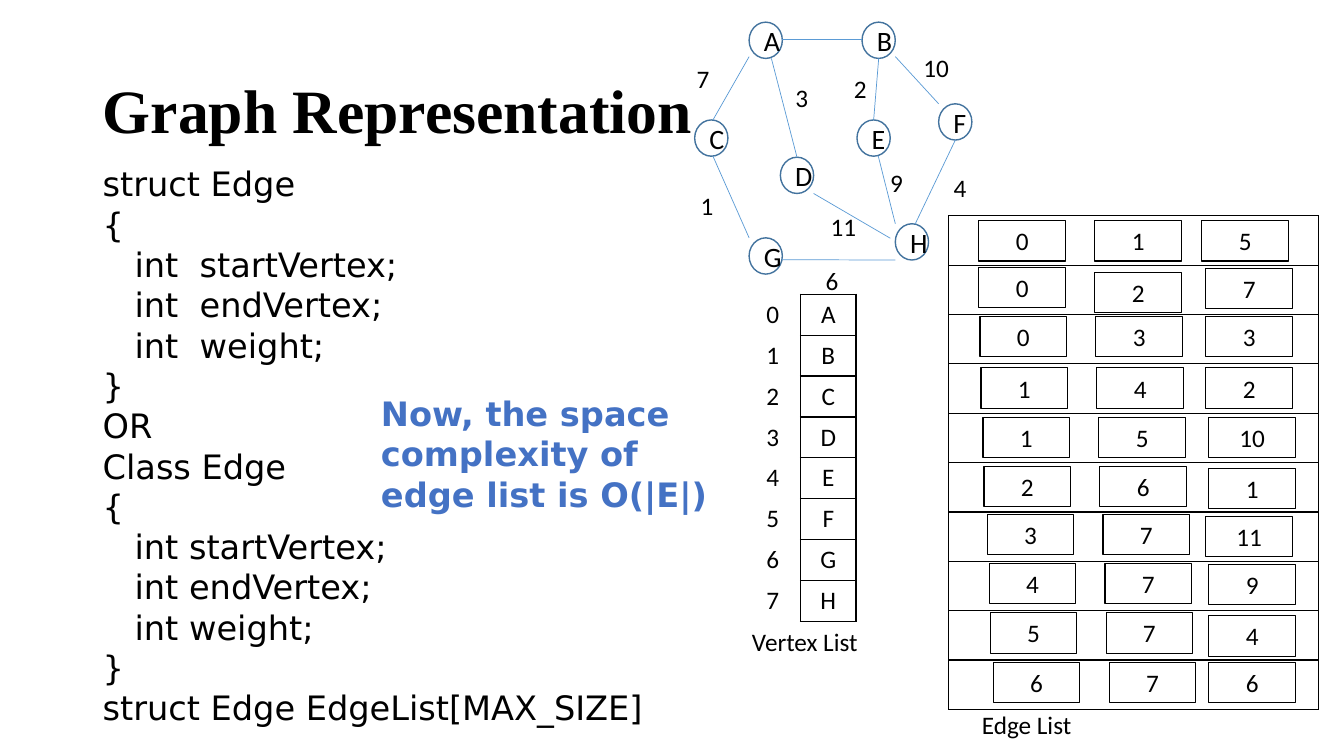
import lxml.etree
import pptx
import pptx.dml.color
import pptx.enum.shapes
import pptx.enum.text
import pptx.oxml.ns
import pptx.util

Inches, Pt = pptx.util.Inches, pptx.util.Pt
RGBColor = pptx.dml.color.RGBColor
Shape = pptx.enum.shapes.MSO_SHAPE
Align = pptx.enum.text.PP_ALIGN
Anchor = pptx.enum.text.MSO_ANCHOR
qn = pptx.oxml.ns.qn

BLACK = RGBColor(0x00, 0x00, 0x00)
ACCENT = RGBColor(0x44, 0x72, 0xC4)
NODE_LINE = RGBColor(0x43, 0x73, 0x9E)
EDGE_LINE = RGBColor(0x5B, 0x9B, 0xD5)
PLAIN_TABLE = "{2D5ABB26-0587-4C30-8999-92F81FD0307C}"

TITLE = "Graph Representation"
CODE = [
    "struct Edge",
    "{",
    "   int  startVertex;",
    "   int  endVertex;",
    "   int  weight;",
    "}",
    "OR",
    "Class Edge",
    "{",
    "   int startVertex;",
    "   int endVertex;",
    "   int weight;",
    "}",
    "struct Edge EdgeList[MAX_SIZE]",
]
REMARK = "Now, the space complexity of edge list is O(|E|)"
VERTICES = "ABCDEFGH"

# Start, end, weight; then nudges from the grid: right for start and end,
# right for weight, down for each of the three.
EDGE_LIST = [
    (("0", "1", "5"), 0, 0, (0, 0, 0)),
    (("0", "2", "7"), 0, 0.04, (-0.03, 0.02, -0.02)),
    (("0", "3", "3"), 0.01, 0.04, (-0.03, -0.03, -0.03)),
    (("1", "4", "2"), 0.02, 0.04, (-0.01, -0.01, -0.01)),
    (("1", "5", "10"), 0.04, 0.07, (-0.01, -0.01, -0.01)),
    (("2", "6", "1"), 0.05, 0.07, (-0.01, -0.01, 0.01)),
    (("3", "7", "11"), 0.08, 0.04, (-0.03, -0.03, -0.01)),
    (("4", "7", "9"), 0.1, 0.07, (-0.03, -0.03, -0.02)),
    (("5", "7", "4"), 0.11, 0.07, (-0.03, -0.03, 0)),
    (("6", "7", "6"), 0.14, 0.07, (-0.03, -0.03, -0.03)),
]
EDGE_TABLE = (9.41, 2.14, 3.67)
EDGE_ROW = 0.49
FIELD_LEFTS = (9.71, 10.86, 11.92)
FIELD_SIZE = (0.86, 0.4)
VERTEX_TABLE = (7.39, 2.92)
VERTEX_COLUMN, VERTEX_ROW = 0.55, 0.4

NODE_SIZE = (0.33, 0.36)
NODES = {
    "C": (6.89, 1.19), "D": (7.74, 1.56), "G": (7.43, 2.36), "E": (8.5, 1.19),
    "F": (9.31, 1.03), "H": (8.88, 2.22), "A": (7.43, 0.22), "B": (8.55, 0.22),
}
# Each end is a node and a share of its width and height.
GRAPH_EDGES = [
    (("A", 0, 0.95), ("C", 0.55, 0)),
    (("A", 1, 0.48), ("B", 0, 0.48)),
    (("B", 1, 0.95), ("F", 0, 0)),
    (("B", 0.5, 1), ("E", 0.5, 0)),
    (("A", 0.67, 1), ("D", 0.5, 0)),
    (("F", 0.5, 1), ("H", 0.6, 0)),
    (("H", 0, 0), ("E", 0.64, 1)),
    (("H", -0.15, 0.4), ("D", 1, 1)),
    (("H", 0, 1), ("G", 1, 0.6)),
    (("G", 0, 0), ("C", 0.55, 1)),
]
# Text, left, top, width
LABELS = [
    ("7", 6.81, 0.58, 0.52), ("1", 6.85, 1.84, 0.52), ("10", 9.06, 0.47, 0.52),
    ("3", 7.79, 0.77, 0.31), ("2", 8.37, 0.68, 0.52), ("6", 8.09, 2.58, 0.52),
    ("4", 9.36, 1.66, 0.52), ("9", 8.73, 1.61, 0.52), ("11", 8.14, 2.05, 0.52),
    ("Edge List", 9.64, 6.99, 1.38), ("Vertex List", 7.36, 6.16, 1.38),
]


def style(para, size, name="Calibri", color=BLACK, bold=False, align=Align.LEFT):
    para.alignment = align
    font = para.font
    font.size, font.name, font.bold = Pt(size), name, bold
    font.color.rgb = color


def add_text(page, lines, left, top, width, height=0.4, **look):
    box = page.shapes.add_textbox(*map(Inches, (left, top, width, height)))
    frame = box.text_frame
    frame.word_wrap = True
    frame.text = "\n".join(lines)
    for para in frame.paragraphs:
        style(para, **look)


def add_outline(page, preset, text, place, size, color, weight, points, anchor):
    shape = page.shapes.add_shape(preset, *map(Inches, place + size))
    shape.shadow.inherit = False
    shape.fill.background()
    shape.line.color.rgb = color
    shape.line.width = Pt(weight)
    shape.text_frame.text = text
    shape.text_frame.vertical_anchor = anchor
    style(shape.text_frame.paragraphs[0], points, align=Align.CENTER)


def add_plain_table(page, rows, columns, left, top, column_width, row_height):
    frame = page.shapes.add_table(
        rows, columns, Inches(left), Inches(top),
        Inches(column_width * columns), Inches(row_height * rows))
    table = frame.table
    table.first_row = table.horz_banding = False
    table._tbl.tblPr.find(qn("a:tableStyleId")).text = PLAIN_TABLE
    for column in table.columns:
        column.width = Inches(column_width)
    for row in table.rows:
        row.height = Inches(row_height)
    return table


def finish_cell(cell, sides):
    """Draw 1-point borders on the given sides and clear the fill."""
    properties = cell._tc.get_or_add_tcPr()
    for side in sides:
        border = lxml.etree.SubElement(properties, qn("a:ln" + side), w=str(Pt(1)))
        fill = lxml.etree.SubElement(border, qn("a:solidFill"))
        lxml.etree.SubElement(fill, qn("a:srgbClr"), val=str(BLACK))
    cell.fill.background()


def add_edge_list(page):
    left, top, width = EDGE_TABLE
    table = add_plain_table(page, len(EDGE_LIST), 1, left, top, width, EDGE_ROW)
    for index, (fields, right, weight_right, downs) in enumerate(EDGE_LIST):
        finish_cell(table.cell(index, 0), "LRTB")
        row_top = top + 0.05 + index * EDGE_ROW
        rights = (right, right, weight_right)
        for text, start, shift, down in zip(fields, FIELD_LEFTS, rights, downs):
            add_outline(page, Shape.RECTANGLE, text, (start + shift, row_top + down),
                        FIELD_SIZE, BLACK, 0.75, 18, Anchor.TOP)


def add_vertex_list(page):
    table = add_plain_table(page, len(VERTICES), 2, *VERTEX_TABLE,
                            VERTEX_COLUMN, VERTEX_ROW)
    for index, vertex in enumerate(VERTICES):
        for column, (text, sides) in enumerate(((str(index), "R"), (vertex, "LRTB"))):
            cell = table.cell(index, column)
            cell.text = text
            style(cell.text_frame.paragraphs[0], 18, align=Align.CENTER)
            finish_cell(cell, sides)


def node_point(name, across, down):
    left, top = NODES[name]
    return Inches(left + across * NODE_SIZE[0]), Inches(top + down * NODE_SIZE[1])


def add_graph(page):
    for name, place in NODES.items():
        add_outline(page, Shape.OVAL, name, place, NODE_SIZE, NODE_LINE, 1, 20,
                    Anchor.MIDDLE)
    for start, end in GRAPH_EDGES:
        edge = page.shapes.add_connector(
            pptx.enum.shapes.MSO_CONNECTOR.STRAIGHT,
            *node_point(*start), *node_point(*end))
        edge.line.color.rgb = EDGE_LINE
        edge.line.width = Pt(0.5)
        lxml.etree.SubElement(edge._element.spPr, qn("a:effectLst"))


def main():
    deck = pptx.Presentation()
    deck.slide_width, deck.slide_height = Inches(13.33), Inches(7.5)
    page = deck.slides.add_slide(deck.slide_layouts[5])
    title = page.shapes.title
    title.left, title.top, title.width, title.height = map(
        Inches, (0.92, 0.4, 11.5, 1.45))
    title.text_frame.text = TITLE
    title.text_frame.vertical_anchor = Anchor.MIDDLE
    heading = title.text_frame.paragraphs[0]
    heading.line_spacing = 0.9
    style(heading, 44, "Times New Roman", bold=True)

    add_edge_list(page)
    add_vertex_list(page)
    add_text(page, CODE, 0.92, 1.57, 6.54, 5.76, size=24, name="DejaVu Sans")
    add_text(page, [REMARK], 3.68, 3.85, 3.69, 1.31, size=24, name="DejaVu Sans",
             color=ACCENT, bold=True)
    add_graph(page)
    for text, left, top, width in LABELS:
        add_text(page, [text], left, top, width, size=18)
    deck.save("out.pptx")


if __name__ == "__main__":
    main()
